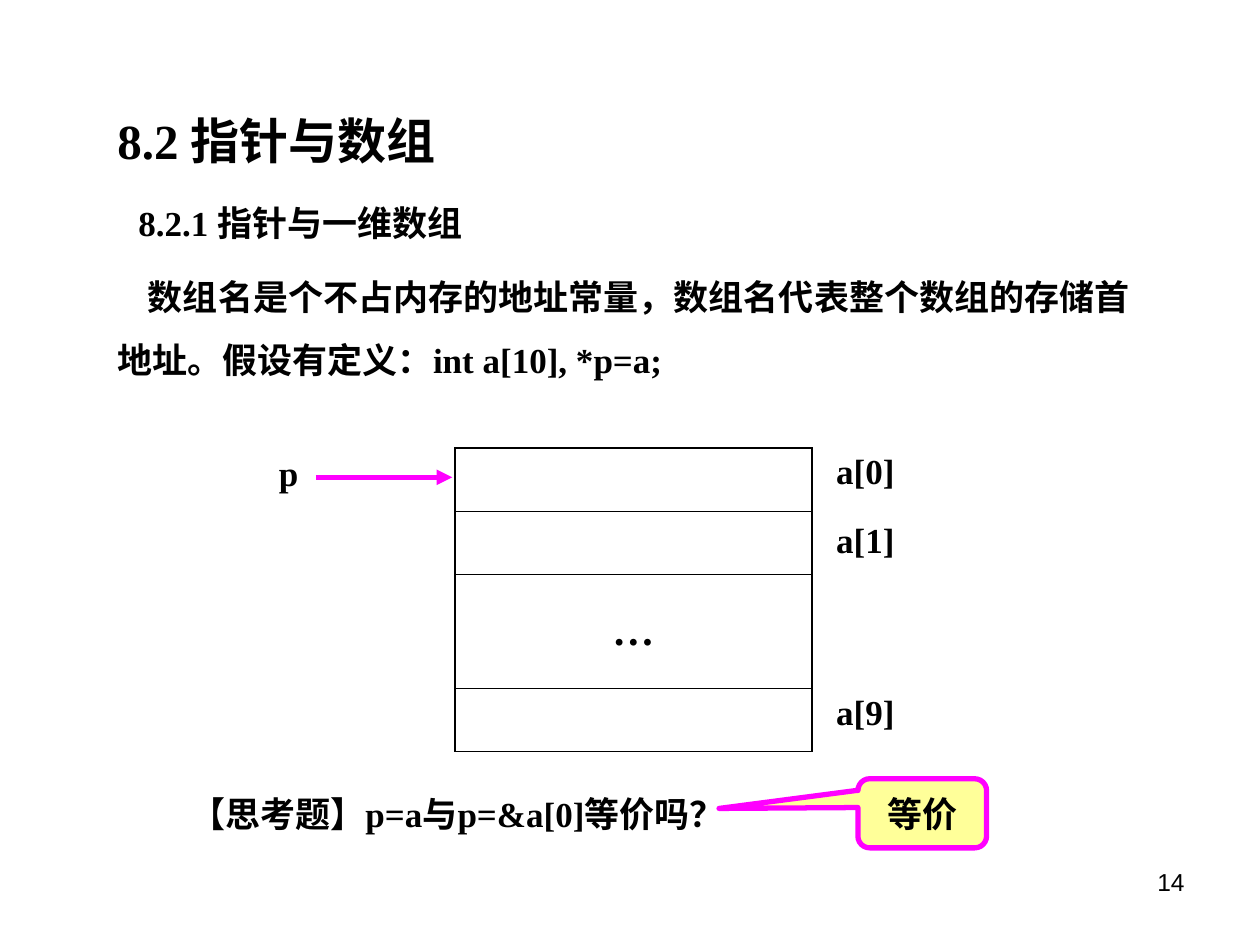
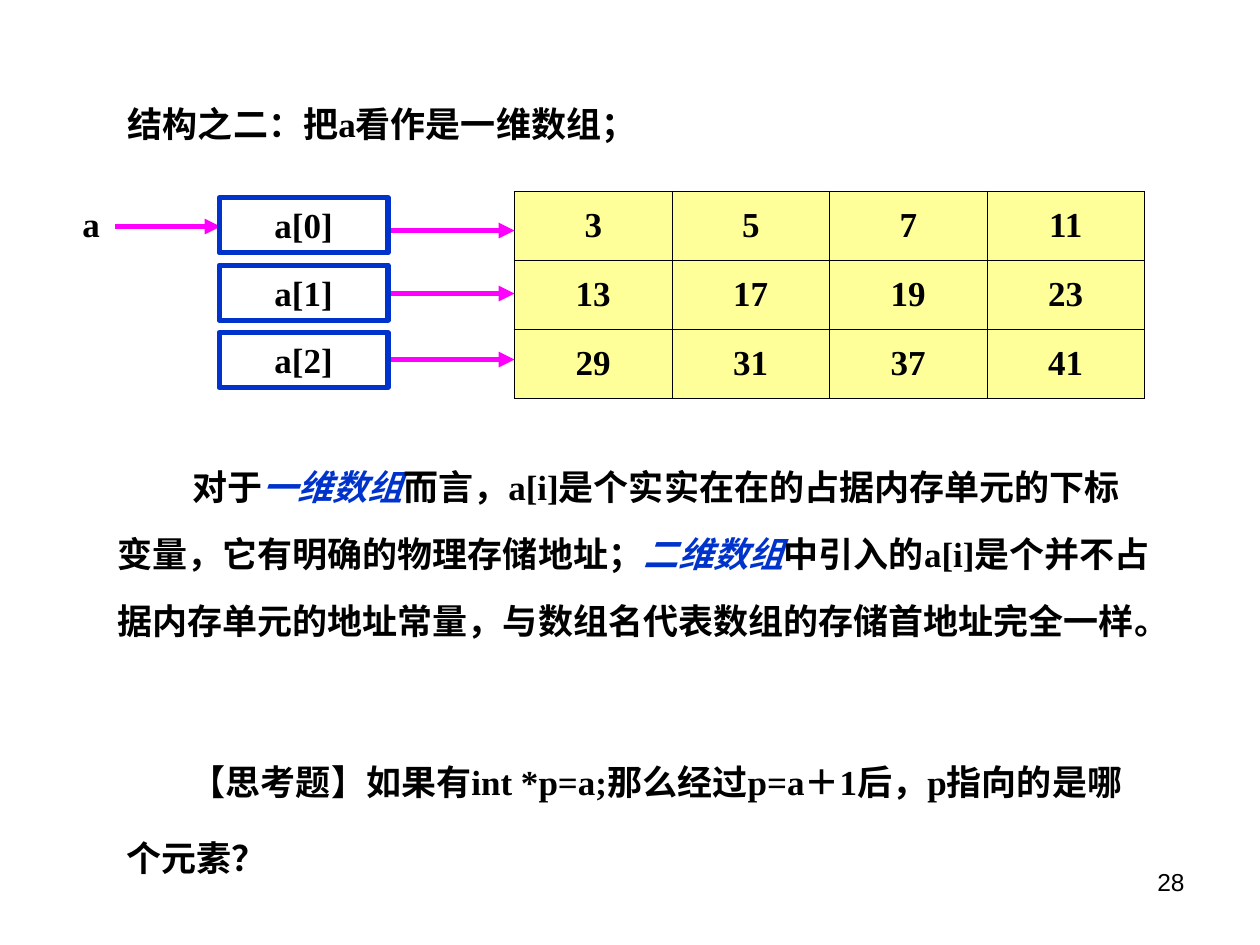
"""Builds two slides on pointers and arrays."""
from lxml import etree
from pptx import Presentation, util as u
from pptx.dml.color import RGBColor
from pptx.enum import shapes, text
from pptx.oxml.ns import qn

Pt = u.Pt
BLACK, PINK, BLUE, YELLOW = "000000", "FF00FF", "0033CC", "FFFF99"
OUTER, INNER, ARROW = 1.08, 0.45, 3
BODY = {"name": "Times New Roman", "size": 20, "bold": True, "italic": False, "color": BLACK}
KEY = {"color": BLUE, "italic": True}
CENTER, RIGHT = text.PP_ALIGN.CENTER, text.PP_ALIGN.RIGHT

INTRO = [
    {"runs": [("8.2 指针与数组", {"size": 28})], "spacing": 1.5},
    {"runs": [("8.2.1 指针与一维数组", {})], "spacing": 1.5, "before": 6.2, "indent": 12},
    {"runs": [("数组名是个不占内存的地址常量，数组名代表整个数组的存储首地址。"
               "假设有定义：int a[10], *p=a;", {})],
     "spacing": 1.5, "before": 6.2, "indent": 17.5},
]
MEMORY = [[""], [""], ["…"], [""]]
MEMORY_HEIGHTS = [36, 36, 65.5, 36]
ELEMENTS = [("a[0]", 253.5), ("a[1]", 292.5), ("a[9]", 391)]
QUESTION = "【思考题】p=a与p=&a[0]等价吗？"
ANSWER = "等价"

VIEW = "结构之二：把a看作是一维数组；"
MATRIX = [["3", "5", "7", "11"], ["13", "17", "19", "23"], ["29", "31", "37", "41"]]
ROW_NAMES = [("a[0]", 113, 131.75), ("a[1]", 151.5, 167.75), ("a[2]", 190, 205.5)]
EXPLANATION = [
    ("对于", {}),
    ("一维数组", KEY),
    ("而言，a[i]是个实实在在的占据内存单元的下标变量，它有明确的物理存储地址；", {}),
    ("二维数组", KEY),
    ("中引入的a[i]是个并不占据内存单元的地址常量，与数组名代表数组的存储首地址完全一样。", {}),
]
FOLLOW_UP = "【思考题】如果有int *p=a;那么经过p=a＋1后，p指向的是哪个元素？"


def rgb(value):
    return RGBColor.from_string(value)


def para(words, **layout):
    return [{"runs": [(words, {})], **layout}]


def write(tf, paras, anchor=text.MSO_ANCHOR.TOP):
    tf.word_wrap, tf.vertical_anchor = True, anchor
    for i, item in enumerate(paras):
        p = tf.paragraphs[0] if i == 0 else tf.add_paragraph()
        p._p.get_or_add_pPr().set("indent", str(Pt(item.get("indent", 0))))
        p.alignment = item.get("align", text.PP_ALIGN.LEFT)
        p.line_spacing = item.get("spacing", 1.0)
        if "before" in item:
            p.space_before = Pt(item["before"])
        for words, changes in item["runs"]:
            r = p.add_run()
            r.text = words
            fmt = {**BODY, **changes}
            r.font.color.rgb = rgb(fmt.pop("color"))
            for name, value in fmt.items():
                setattr(r.font, name, Pt(value) if name == "size" else value)


def add_text(s, box, paras):
    write(s.shapes.add_textbox(*map(Pt, box)).text_frame, paras)


def add_box(s, kind, box, words, line, fill=None, anchor=text.MSO_ANCHOR.TOP):
    sp = s.shapes.add_shape(kind, *map(Pt, box))
    sp.shadow.inherit = False
    if fill:
        sp.fill.solid()
        sp.fill.fore_color.rgb = rgb(fill)
    else:
        sp.fill.background()
    sp.line.color.rgb, sp.line.width = rgb(line), Pt(3)
    write(sp.text_frame, para(words, align=CENTER), anchor)
    return sp


def add_arrow(s, x1, x2, y):
    c = s.shapes.add_connector(shapes.MSO_CONNECTOR.STRAIGHT, *map(Pt, (x1, y, x2, y)))
    c.line.color.rgb, c.line.width = rgb(PINK), Pt(ARROW)
    etree.SubElement(c.line._get_or_add_ln(), qn("a:tailEnd"), type="triangle")
    etree.SubElement(c._element.spPr, qn("a:effectLst"))


def add_border(cell, side, width):
    ln = etree.SubElement(cell._tc.get_or_add_tcPr(), qn(f"a:ln{side}"), w=str(Pt(width)))
    fill = etree.SubElement(ln, qn("a:solidFill"))
    etree.SubElement(fill, qn("a:srgbClr"), val=BLACK)


def add_grid(s, left, top, width, heights, rows, size, fill=None):
    n_rows, n_cols = len(rows), len(rows[0])
    frame = s.shapes.add_table(n_rows, n_cols, *map(Pt, (left, top, width, sum(heights))))
    table = frame.table
    table.first_row = table.horz_banding = False
    for i, row in enumerate(rows):
        table.rows[i].height = Pt(heights[i])
        for j, words in enumerate(row):
            cell = table.cell(i, j)
            edges = {"L": j == 0, "R": j == n_cols - 1, "T": i == 0, "B": i == n_rows - 1}
            for side, outside in edges.items():
                add_border(cell, side, OUTER if outside else INNER)
            if fill:
                cell.fill.solid()
                cell.fill.fore_color.rgb = rgb(fill)
            else:
                cell.fill.background()
            cell.vertical_anchor = text.MSO_ANCHOR.MIDDLE
            if words:
                write(cell.text_frame, [{"runs": [(words, {"size": size})], "align": CENTER}],
                      text.MSO_ANCHOR.MIDDLE)


def add_slide(prs, number):
    s = prs.slides.add_slide(prs.slide_layouts[6])
    style = {"name": "Arial", "size": 14, "bold": False}
    add_text(s, (516, 492, 168, 37.5), [{"runs": [(number, style)], "align": RIGHT}])
    return s


def build_pointer_slide(prs):
    s = add_slide(prs, "14")
    add_text(s, (60, 43, 606, 186), INTRO)
    add_grid(s, 260, 256, 204, MEMORY_HEIGHTS, MEMORY, 24)
    add_arrow(s, 180.5, 258.5, 272.75)
    add_text(s, (147, 254.5, 36, 31.5), para("p", align=CENTER))
    for name, top in ELEMENTS:
        add_text(s, (467.5, top, 54, 31.5), para(name, align=CENTER))
    add_text(s, (101.5, 449.5, 339, 31.5), para(QUESTION))
    callout = add_box(s, shapes.MSO_SHAPE.ROUNDED_RECTANGULAR_CALLOUT, (490.25, 445, 73.5, 39.5),
                      ANSWER, PINK, YELLOW, text.MSO_ANCHOR.MIDDLE)
    for i, value in enumerate((-1.58, -0.07, 0.17)):
        callout.adjustments[i] = value


def build_matrix_slide(prs):
    s = add_slide(prs, "28")
    add_text(s, (66, 43, 594, 43), para(VIEW, spacing=1.5))
    add_grid(s, 294, 109.5, 360, [39.4] * len(MATRIX), MATRIX, 20, YELLOW)
    add_text(s, (40, 100, 42, 43), para("a", spacing=1.5))
    add_arrow(s, 66, 126, 129.5)
    for name, top, arrow_y in ROW_NAMES:
        add_arrow(s, 222, 294, arrow_y)
        add_box(s, shapes.MSO_SHAPE.RECTANGLE, (125.25, top, 96.5, 31.5), name, BLUE)
    add_text(s, (60, 248, 606, 168.5), [{"runs": EXPLANATION, "spacing": 1.6, "indent": 43}])
    add_text(s, (65, 412, 595.5, 93.5), para(FOLLOW_UP, spacing=1.8, indent=37))


def main():
    prs = Presentation()
    prs.slide_width, prs.slide_height = Pt(720), Pt(540)
    build_pointer_slide(prs)
    build_matrix_slide(prs)
    prs.save("out.pptx")


if __name__ == "__main__":
    main()
